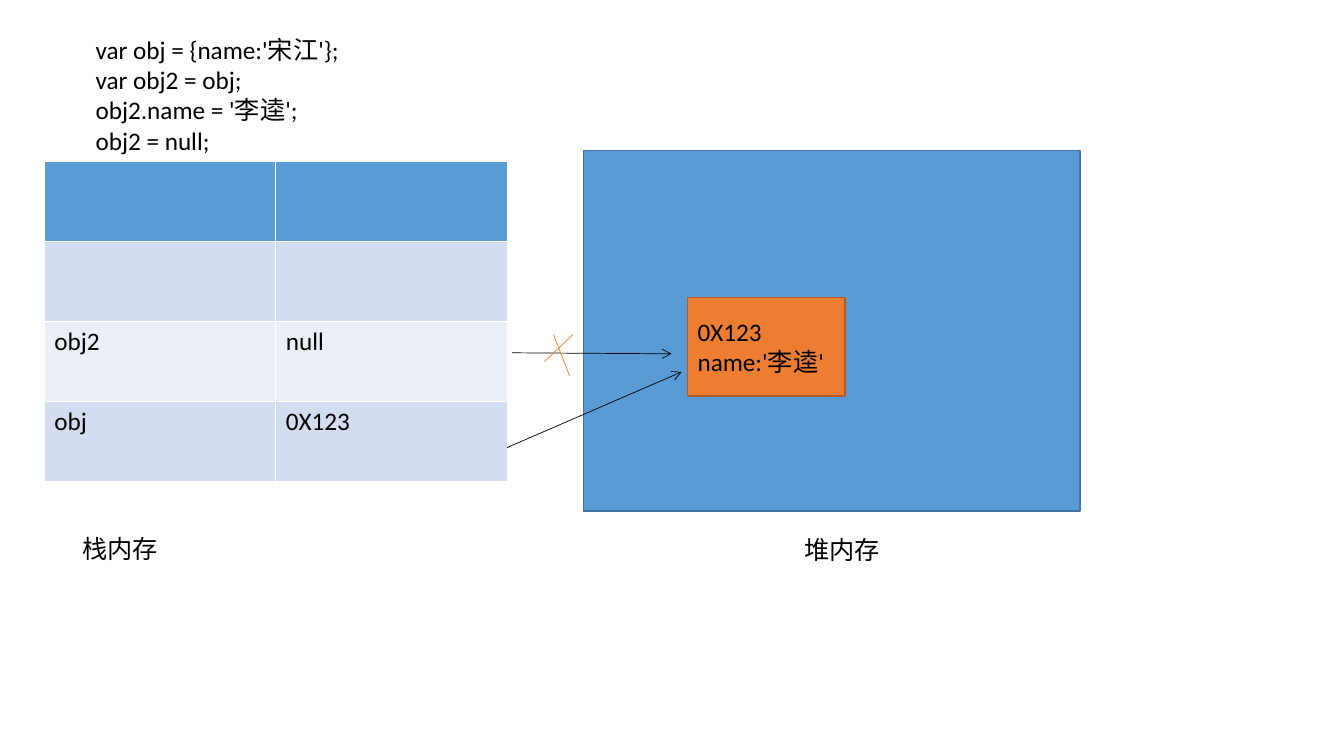
"""Build a slide showing stack and heap memory for two object references."""
from pptx import Presentation
from pptx.dml.color import RGBColor as Color
from pptx.enum.shapes import MSO_CONNECTOR as Connector, MSO_SHAPE as Shape
from pptx.oxml.xmlchemy import OxmlElement as Element
from pptx.util import Inches, Pt

THEME = {
    "font": "Calibri", "size": 18, "text": "000000", "arrow": "000000",
    "header": "5B9BD5", "bands": ("D2DEEF", "EAEFF7"),
    "heap": ("5B9BD5", "43739E"), "object": ("ED7D31", "AF5C24"),
    "cross": "ED7D31", "outline": 1, "stroke": 0.5,
}
STACK_ROWS = [("", ""), ("", ""), ("obj2", "null"), ("obj", "0X123")]
STACK_AREA = (0.44, 1.6, 4.59, 3.18)
BLOCKS = [("heap", (5.79, 1.49, 4.92, 3.58)), ("object", (6.82, 2.95, 1.56, 0.98))]
TEXTS = [
    (("栈内存",), (0.72, 5.24, 2.93, 0.4)),
    (("堆内存",), (7.88, 5.25, 2.49, 0.4)),
    (("var obj = {name:'宋江'};", "var obj2 = obj;", "obj2.name = '李逵';",
      "obj2 = null;"), (0.85, 0.29, 3.78, 1.61)),
    (("0X123", "name:'李逵'"), (6.82, 3.09, 1.71, 0.71)),
]
REFERENCES = [(5.03, 4.44, 6.76, 3.69), (5.08, 3.5, 6.66, 3.51)]
CROSS = [(5.49, 3.32, 5.65, 3.73), (5.68, 3.32, 5.4, 3.59)]


def inches(values):
    return [Inches(value) for value in values]


def paint(fill, color):
    fill.solid()
    fill.fore_color.rgb = Color.from_string(color)


def write(frame, text):
    frame.text = text
    for para in frame.paragraphs:
        for span in para.runs:
            span.font.name = THEME["font"]
            span.font.size = Pt(THEME["size"])
            span.font.bold = False
            span.font.color.rgb = Color.from_string(THEME["text"])


def add_stack(page):
    count = len(STACK_ROWS)
    columns = len(STACK_ROWS[0])
    table = page.shapes.add_table(count, columns, *inches(STACK_AREA)).table
    for column in table.columns:
        column.width = Inches(STACK_AREA[2] / columns)
    for index, values in enumerate(STACK_ROWS):
        table.rows[index].height = Inches(STACK_AREA[3] / count)
        color = THEME["bands"][(index - 1) % 2] if index else THEME["header"]
        for cell, value in zip(table.rows[index].cells, values):
            paint(cell.fill, color)
            write(cell.text_frame, value)


def add_block(page, name, area):
    block = page.shapes.add_shape(Shape.RECTANGLE, *inches(area))
    fill, outline = THEME[name]
    block.shadow.inherit = False
    paint(block.fill, fill)
    paint(block.line.fill, outline)
    block.line.width = Pt(THEME["outline"])


def add_text(page, lines, area):
    box = page.shapes.add_textbox(*inches(area))
    box.text_frame.word_wrap = True
    write(box.text_frame, "\n".join(lines))


def add_line(page, ends, color, arrow=False):
    line = page.shapes.add_connector(Connector.STRAIGHT, *inches(ends))
    paint(line.line.fill, color)
    line.line.width = Pt(THEME["stroke"])
    if arrow:
        tail = Element("a:tailEnd")
        tail.set("type", "arrow")
        line.line.fill
        line.element.spPr.find("{*}ln").append(tail)
    line.element.spPr.append(Element("a:effectLst"))


def build():
    deck = Presentation()
    deck.slide_width, deck.slide_height = inches((13.33, 7.5))
    page = deck.slides.add_slide(deck.slide_layouts[6])
    add_stack(page)
    for name, area in BLOCKS:
        add_block(page, name, area)
    for lines, area in TEXTS:
        add_text(page, lines, area)
    for ends in REFERENCES:
        add_line(page, ends, THEME["arrow"], arrow=True)
    for ends in CROSS:
        add_line(page, ends, THEME["cross"])
    deck.save("out.pptx")


build()
